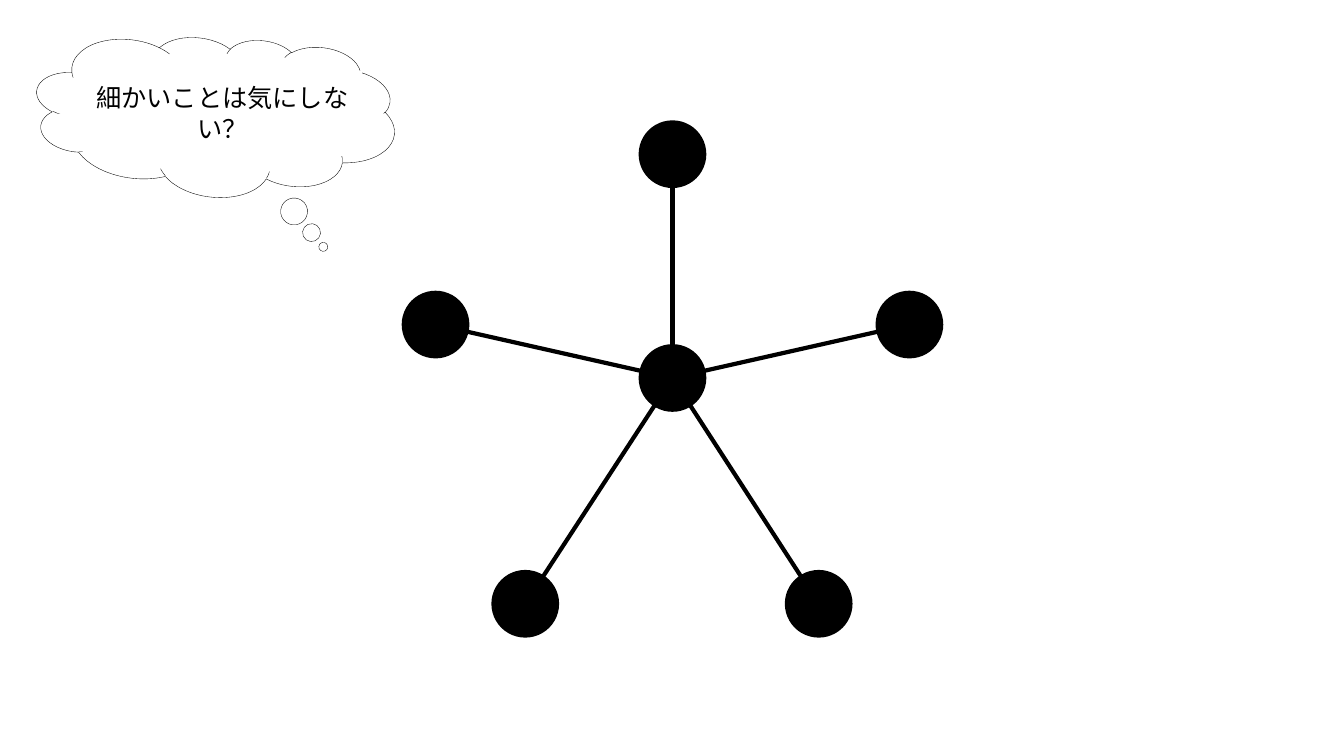
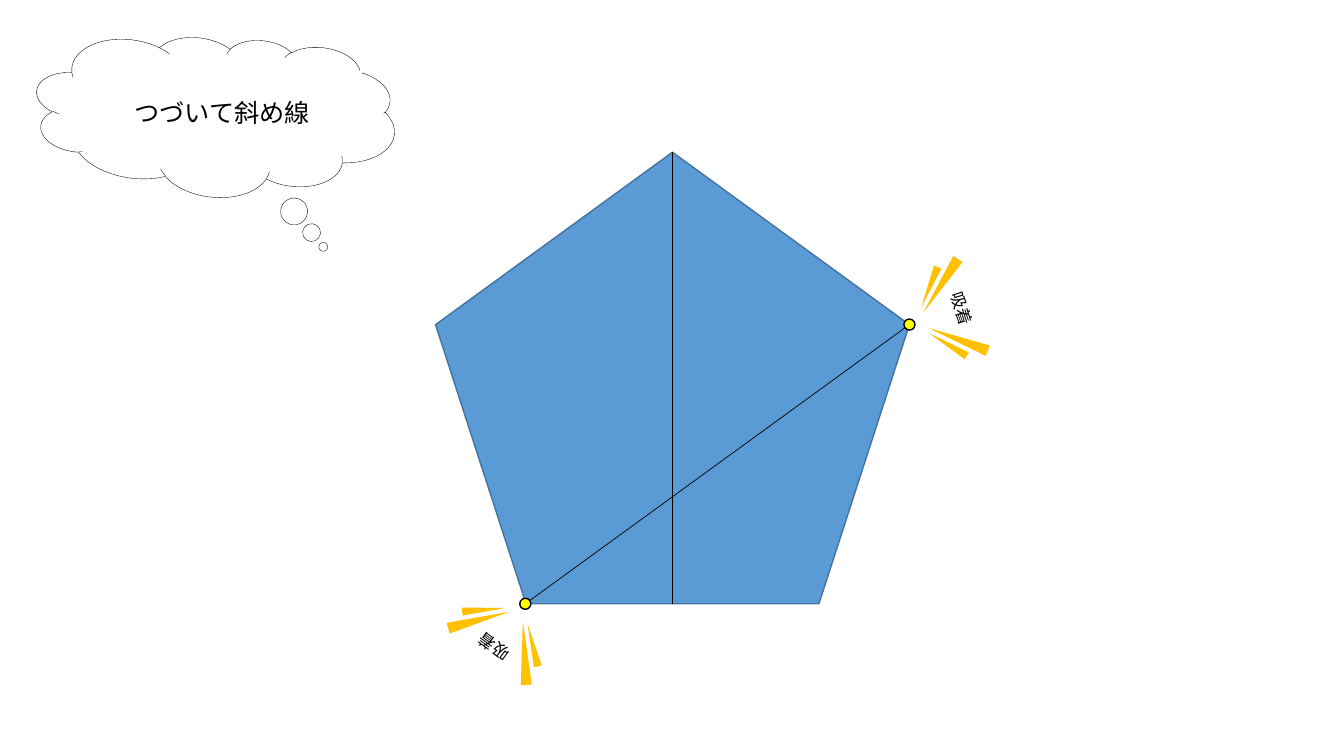
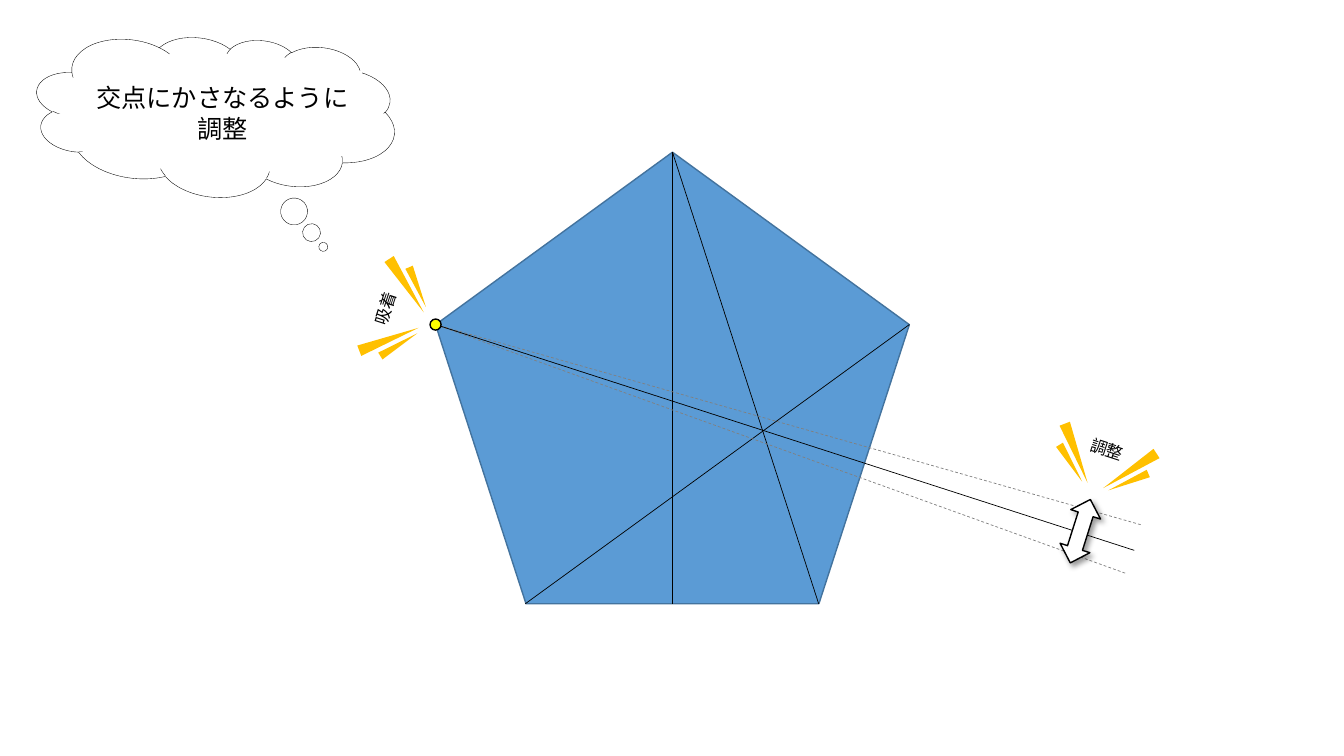
import math

import lxml.etree
import pptx
import pptx.dml.color
import pptx.enum.dml
import pptx.enum.shapes
import pptx.enum.text
import pptx.oxml.ns
import pptx.util

Inches = pptx.util.Inches
Pt = pptx.util.Pt
SHAPE = pptx.enum.shapes.MSO_SHAPE
qn = pptx.oxml.ns.qn

FONT = "Noto Sans CJK JP"
COLORS = {
    "ink": "000000",
    "paper": "FFFFFF",
    "pentagon": "5B9BD5",
    "pentagon_edge": "43739E",
    "snap": "FFFF00",
    "burst": "FFC000",
    "trial": "808080",
}
NODE = 0.63
DOT = 0.11
CORNERS = {
    "top": (6.67, 1.51),
    "left": (4.32, 3.22),
    "right": (9.02, 3.22),
    "bottom_left": (5.21, 5.99),
    "bottom_right": (8.12, 5.99),
}
BOTTOM_MIDDLE = (6.67, 5.99)
THOUGHT_FORMAT = {"word_wrap": True, "vertical_anchor": pptx.enum.text.MSO_ANCHOR.MIDDLE}
LABEL_FORMAT = {"word_wrap": False, "auto_size": pptx.enum.text.MSO_AUTO_SIZE.SHAPE_TO_FIT_TEXT}


def draw_shape(shapes, kind, box, fill, edge=None, weight=1, rotation=0):
    """Draw a preset shape in box (left, top, width, height), without a line if edge is None."""
    shape = shapes.add_shape(kind, *map(Inches, box))
    shape.shadow.inherit = False
    shape.rotation = rotation
    shape.fill.solid()
    shape.fill.fore_color.rgb = pptx.dml.color.RGBColor.from_string(COLORS[fill])
    if edge:
        shape.line.color.rgb = pptx.dml.color.RGBColor.from_string(COLORS[edge])
        shape.line.width = Pt(weight)
    else:
        shape.line.fill.background()
    return shape


def draw_line(shapes, start, end, color="ink", weight=0.5):
    line = shapes.add_connector(
        pptx.enum.shapes.MSO_CONNECTOR.STRAIGHT, *map(Inches, (*start, *end))
    )
    line.line.color.rgb = pptx.dml.color.RGBColor.from_string(COLORS[color])
    line.line.width = Pt(weight)
    lxml.etree.SubElement(line._element.spPr, qn("a:effectLst"))
    return line


deck = pptx.Presentation()
deck.slide_width = Inches(13.33)
deck.slide_height = Inches(7.5)
star, diagonal, adjustment = [
    deck.slides.add_slide(deck.slide_layouts[6]).shapes for _ in range(3)
]
texts = []  # (text frame, wording, point size, frame format)

# Star of five nodes around a hub
hub = (6.67, 3.75)
tips = {**CORNERS, "top": (6.67, 1.53)}
star_parts = star.add_group_shape().shapes
for x, y in [hub, *tips.values()]:
    draw_shape(
        star_parts, SHAPE.OVAL, (x - NODE / 2, y - NODE / 2, NODE, NODE), "ink", "ink", 3
    )
for tip in tips.values():
    draw_line(star_parts, tip, hub, weight=3)

# Pentagon with its construction lines
for shapes in (diagonal, adjustment):
    draw_shape(
        shapes, SHAPE.REGULAR_PENTAGON, (4.32, 1.51, 4.7, 4.48), "pentagon", "pentagon_edge"
    )
    draw_line(shapes, CORNERS["top"], BOTTOM_MIDDLE)
    draw_line(shapes, CORNERS["bottom_left"], CORNERS["right"])

draw_line(adjustment, CORNERS["top"], CORNERS["bottom_right"])
for trial_end in [(11.17, 5.69), (11.33, 5.21)]:
    trial = draw_line(adjustment, CORNERS["left"], trial_end, "trial")
    trial.line.dash_style = pptx.enum.dml.MSO_LINE.DASH
draw_line(adjustment, CORNERS["left"], (11.25, 5.46))

swing_arrow = draw_shape(
    adjustment, SHAPE.UP_DOWN_ARROW, (10.56, 4.94, 0.31, 0.66), "paper", "ink", rotation=17.6
)
effects = swing_arrow._element.spPr.find(qn("a:effectLst"))
shadow = lxml.etree.SubElement(
    effects, qn("a:outerShdw"),
    blurRad=str(Pt(4)), dist=str(Pt(3)), dir=str(45 * 60000), algn="tl", rotWithShape="0",
)
shadow_color = lxml.etree.SubElement(shadow, qn("a:srgbClr"), val=COLORS["ink"])
lxml.etree.SubElement(shadow_color, qn("a:alpha"), val="40000")

# Snap points
for shapes, corner in [
    (diagonal, "bottom_left"), (diagonal, "right"), (adjustment, "left"),
]:
    x, y = CORNERS[corner]
    draw_shape(shapes, SHAPE.OVAL, (x - DOT / 2, y - DOT / 2, DOT, DOT), "snap", "ink")

# Bursts: a label with four rays, turned as a whole about the label's centre
rays = [  # offset x, offset y, width, height, rotation
    (0.28, 0.13, 0.11, 0.63, 219),
    (-0.28, 0.13, 0.11, 0.63, 140.9),
    (0.3, 0.24, 0.08, 0.43, 229.1),
    (-0.3, 0.24, 0.08, 0.43, 130.4),
]
for shapes, wording, x, y, turn in [
    (diagonal, "吸着", 9.54, 3.06, 72),
    (diagonal, "吸着", 4.9, 6.42, 216),
    (adjustment, "吸着", 3.82, 3.06, 288),
    (adjustment, "調整", 10.98, 4.46, 18),
]:
    burst = shapes.add_group_shape().shapes
    label = burst.add_textbox(*map(Inches, (x - 0.27, y - 0.15, 0.54, 0.3)))
    label.rotation = turn
    texts.append((label.text_frame, wording, 12, LABEL_FORMAT))
    cos, sin = math.cos(math.radians(turn)), math.sin(math.radians(turn))
    for dx, dy, width, height, angle in rays:
        left = x + dx * cos - dy * sin - width / 2
        top = y + dx * sin + dy * cos - height / 2
        draw_shape(
            burst, SHAPE.ISOSCELES_TRIANGLE, (left, top, width, height), "burst",
            rotation=(turn + angle) % 360,
        )

# Thought cloud, with patches that hide its inner arcs
patches = [
    ((3.11, 1.32, 0.36, 0.15), 62.5),
    ((0.56, 1.13, 0.21, 0.12), 0),
    ((3.6, 1.1, 0.21, 0.12), 337.6),
]
for shapes, wording in [
    (star, "細かいことは気にしない？"),
    (diagonal, "つづいて斜め線"),
    (adjustment, "交点にかさなるように調整"),
]:
    thought = shapes.add_group_shape().shapes
    cloud = draw_shape(
        thought, SHAPE.CLOUD_CALLOUT, (0.35, 0.35, 3.57, 1.6), "paper", "ink", 0.25, 6.6
    )
    cloud.adjustments[0], cloud.adjustments[1] = 0.34, 0.73
    for box, angle in patches:
        draw_shape(thought, SHAPE.RECTANGLE, box, "paper", rotation=angle)
    panel = draw_shape(thought, SHAPE.RECTANGLE, (0.82, 0.7, 2.77, 0.84), "paper")
    texts.append((panel.text_frame, wording, 18, THOUGHT_FORMAT))

for frame, wording, size, frame_format in texts:
    for attribute, value in frame_format.items():
        setattr(frame, attribute, value)
    paragraph = frame.paragraphs[0]
    paragraph.alignment = pptx.enum.text.PP_ALIGN.CENTER
    run = paragraph.add_run()
    run.text = wording
    for attribute, value in {"name": FONT, "size": Pt(size)}.items():
        setattr(run.font, attribute, value)
    run.font.color.rgb = pptx.dml.color.RGBColor.from_string(COLORS["ink"])
    lxml.etree.SubElement(run._r.get_or_add_rPr(), qn("a:ea"), typeface=FONT)

deck.save("out.pptx")
